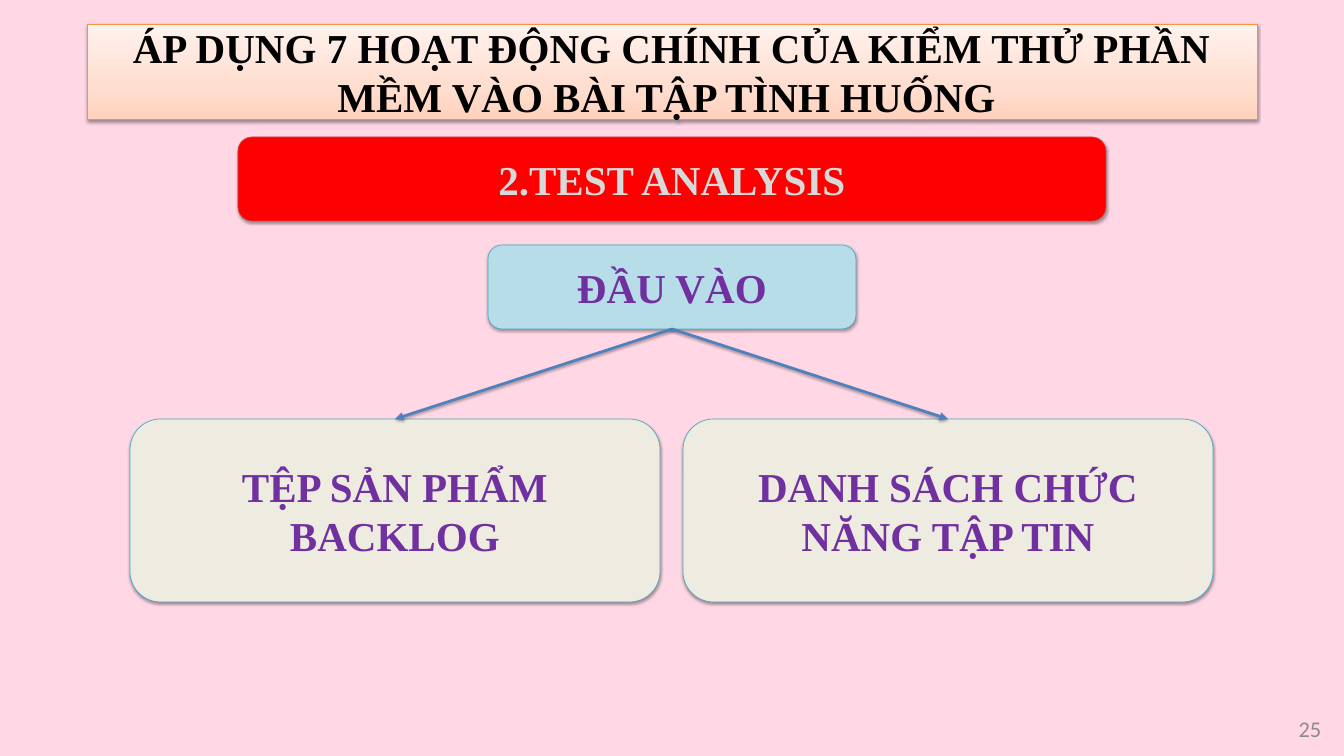
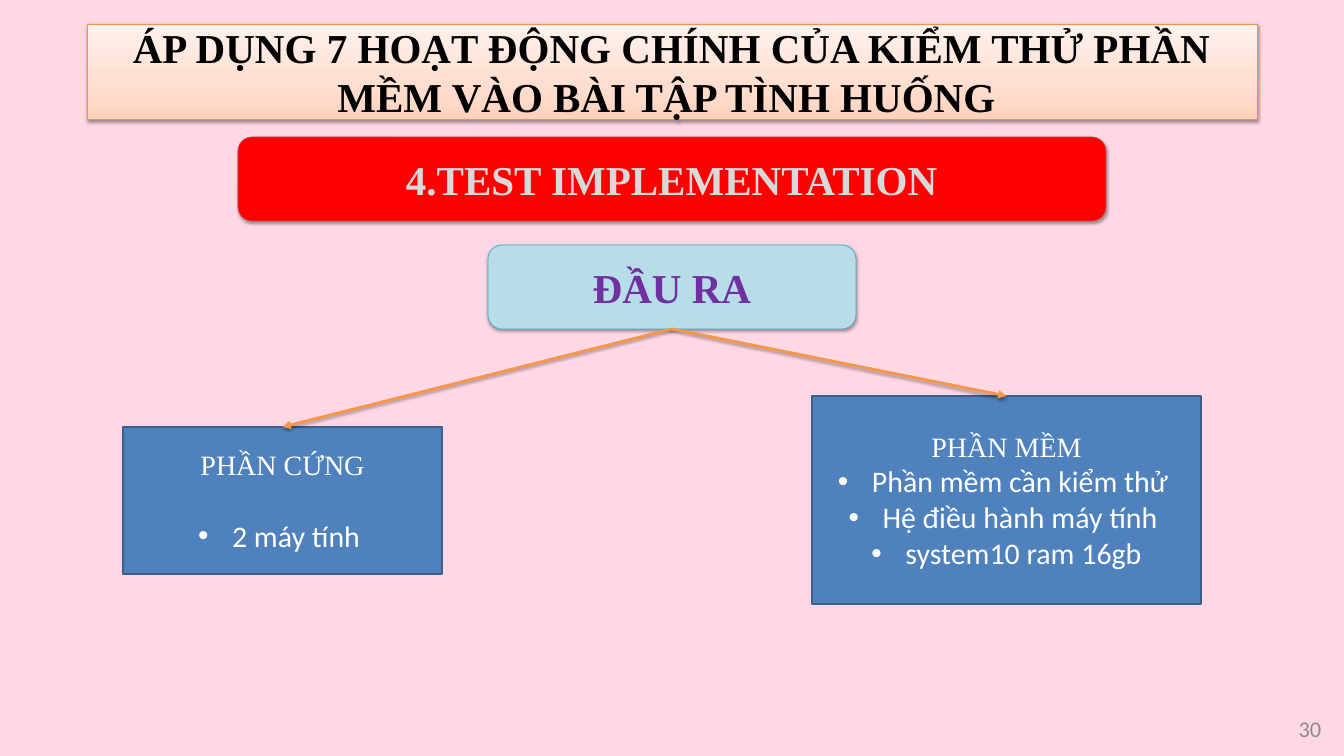
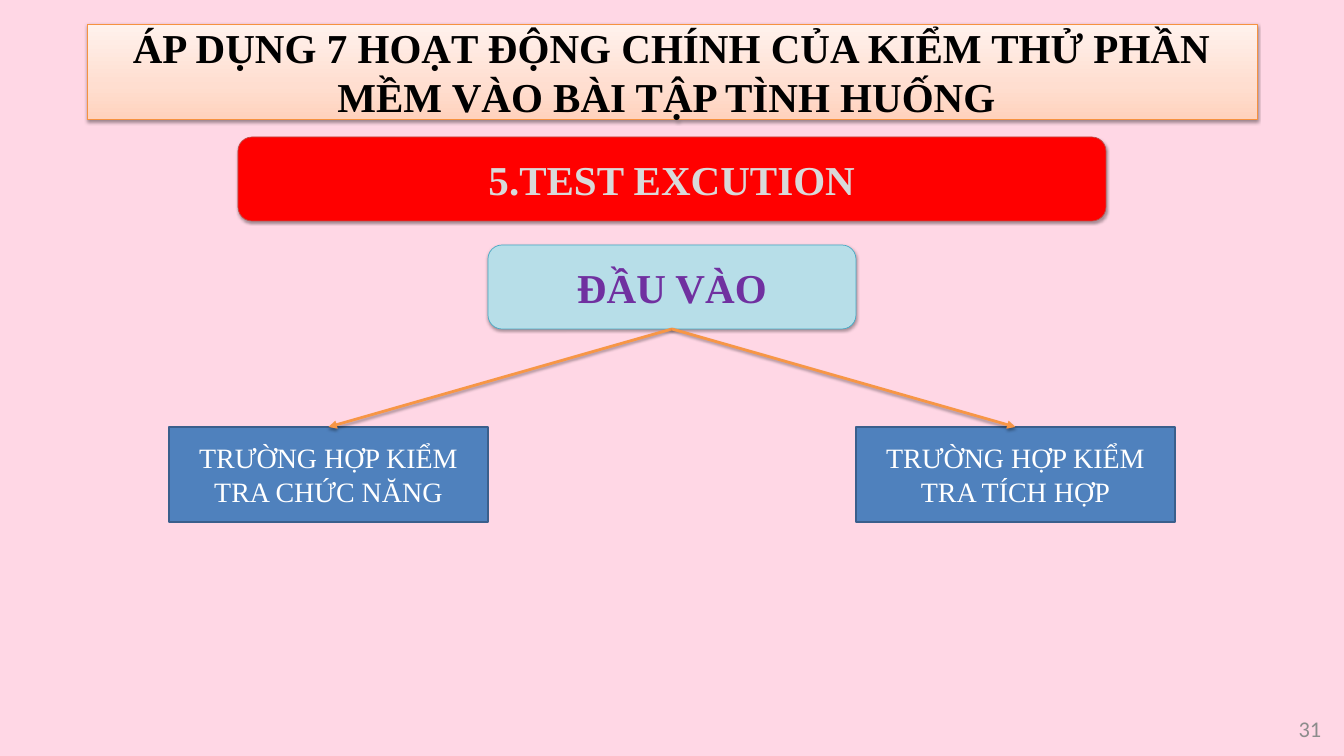
"""Build three slides on software testing activities, each a hub with two branches."""
import pptx
import pptx.dml.color
import pptx.enum.shapes
import pptx.enum.text
import pptx.oxml
import pptx.oxml.ns
import pptx.util

PX = 914400 / 67.2
WIDTH, HEIGHT = 1344, 756
HEADING = "ÁP DỤNG 7 HOẠT ĐỘNG CHÍNH CỦA KIỂM THỬ PHẦN MỀM VÀO BÀI TẬP TÌNH HUỐNG "
SLIDES = [
    dict(number="25", activity="2.TEST ANALYSIS", hub="ĐẦU VÀO", style="card", arrow="blue", branches=[
        ((130, 419, 530, 183), "TỆP SẢN PHẨM BACKLOG", []),
        ((683, 419, 530, 183), "DANH SÁCH CHỨC NĂNG TẬP TIN", [])]),
    dict(number="30", activity="4.TEST IMPLEMENTATION", hub="ĐẦU RA", style="block", arrow="orange", branches=[
        ((123, 427, 319, 147), "PHẦN CỨNG", [("2 máy tính ", 39)]),
        ((812, 396, 389, 208), "PHẦN MỀM", [
            ("Phần mềm cần kiểm thử ", 0), ("Hệ điều hành máy tính ", 0), ("system10 ram 16gb", 0)])]),
    dict(number="31", activity="5.TEST EXCUTION", hub="ĐẦU VÀO", style="block", arrow="orange", branches=[
        ((169, 427, 319, 95), "TRƯỜNG HỢP KIỂM TRA CHỨC NĂNG", []),
        ((856, 427, 319, 95), "TRƯỜNG HỢP KIỂM TRA TÍCH HỢP", [])]),
]
COLORS = dict(
    pink="FFD7E5", black="000000", white="FFFFFF", grey="8C8C8C", silver="D9D9D9", purple="7030A0",
    red="FF0000", brick="BF4C48", aqua="B7DEE8", teal="46AAC5", cream="EEECE1",
    blue="4F81BD", navy="3A5F8C", orange="F79646", amber="F69240")
GRADIENT = [(0, "FFD2BD"), (35, "FFDED0"), (100, "FFF2ED")]
SERIF = dict(name="Times New Roman", size=pptx.util.Pt(44), bold=True)
SMALL_SERIF = dict(name="Times New Roman", size=pptx.util.Pt(30), bold=False)
BULLET = dict(name="Calibri", size=pptx.util.Pt(32), bold=False)
NUMBER = dict(name="Calibri", size=pptx.util.Pt(24), bold=False)
SHAPE = pptx.enum.shapes.MSO_SHAPE
ALIGN = pptx.enum.text.PP_ALIGN
STYLES = dict(
    banner=dict(kind=SHAPE.ROUNDED_RECTANGLE, fill="red", line="brick", weight=0.75, shadow=True,
                font=SERIF, color="silver"),
    hub=dict(kind=SHAPE.ROUNDED_RECTANGLE, fill="aqua", line="teal", weight=0.75, shadow=True,
             font=SERIF, color="purple"),
    card=dict(kind=SHAPE.ROUNDED_RECTANGLE, fill="cream", line="teal", weight=0.75, shadow=True,
              font=SERIF, color="purple"),
    block=dict(kind=SHAPE.RECTANGLE, fill="blue", line="navy", weight=2, shadow=False,
               font=SMALL_SERIF, color="white"))


def emu(px):
    """Turn pixels into EMU."""
    return pptx.util.Emu(round(px * PX))


def rgb(name):
    """Look up a colour by name."""
    return pptx.dml.color.RGBColor.from_string(COLORS[name])


def centred(y, w, h):
    """Return a box centred across the slide."""
    return (WIDTH - w) // 2, y, w, h


def add_xml(parent, tag, attrs="", inner=""):
    """Append one DrawingML element."""
    ns = pptx.oxml.ns.nsdecls("a")
    parent.append(pptx.oxml.parse_xml(f"<a:{tag} {ns} {attrs}>{inner}</a:{tag}>"))


def set_shadow(sp, alpha=35, dist=23000):
    """Give a shape a soft shadow below, or none when alpha is 0."""
    inner = (f'<a:outerShdw blurRad="40000" dist="{dist}" dir="5400000" rotWithShape="0">'
             f'<a:srgbClr val="{COLORS["black"]}"><a:alpha val="{alpha * 1000}"/></a:srgbClr></a:outerShdw>')
    add_xml(sp.element.spPr, "effectLst", inner=inner if alpha else "")


def set_line(sp, color, weight):
    """Set the colour and width of an outline."""
    sp.line.color.rgb = rgb(color)
    sp.line.width = pptx.util.Pt(weight)


def write(p, text, font, color, align=ALIGN.CENTER):
    """Write one formatted run into a paragraph."""
    p.alignment = align
    r = p.add_run()
    r.text = text
    for key, value in font.items():
        setattr(r.font, key, value)
    r.font.color.rgb = rgb(color)


def prepare(sp):
    """Wrap and centre vertically the text of a shape."""
    tf = sp.text_frame
    for key, value in dict(word_wrap=True, auto_size=pptx.enum.text.MSO_AUTO_SIZE.NONE,
                           vertical_anchor=pptx.enum.text.MSO_ANCHOR.MIDDLE).items():
        setattr(tf, key, value)
    return tf


def add_box(s, box, text, style, bullets=()):
    """Add a styled box with a heading and optional bullets."""
    look = STYLES[style]
    sp = s.shapes.add_shape(look["kind"], *map(emu, box))
    sp.fill.solid()
    sp.fill.fore_color.rgb = rgb(look["fill"])
    set_line(sp, look["line"], look["weight"])
    set_shadow(sp, 35 if look["shadow"] else 0)
    tf = prepare(sp)
    write(tf.paragraphs[0], text, look["font"], look["color"])
    for item, gap in bullets:
        p = tf.add_paragraph()
        pPr = p._p.get_or_add_pPr()
        pPr.set("marL", str(emu(34)))
        pPr.set("indent", str(emu(-34)))
        add_xml(pPr, "buFont", 'typeface="Arial"')
        add_xml(pPr, "buChar", 'char="•"')
        p.space_before = pptx.util.Pt(gap)
        write(p, item, BULLET, look["color"])
    return sp


def add_arrow(s, start, end, color):
    """Join the bottom of one box to the top of another."""
    c = s.shapes.add_connector(pptx.enum.shapes.MSO_CONNECTOR.STRAIGHT, 0, 0, 0, 0)
    c.begin_connect(start, 2)
    c.end_connect(end, 0)
    set_line(c, color, 3)
    add_xml(c.element.spPr.find(pptx.oxml.ns.qn("a:ln")), "tailEnd", 'type="triangle"')
    set_shadow(c)


def set_title(s):
    """Turn the title placeholder into the rounded heading band."""
    sp = s.shapes.title
    for key, value in zip(("left", "top", "width", "height"), centred(24, 1170, 95)):
        setattr(sp, key, emu(value))
    stops = "".join(f'<a:gs pos="{pos * 1000}"><a:srgbClr val="{color}"/></a:gs>' for pos, color in GRADIENT)
    add_xml(sp.element.spPr, "prstGeom", 'prst="roundRect"', "<a:avLst/>")
    add_xml(sp.element.spPr, "gradFill", 'rotWithShape="1"',
            f'<a:gsLst>{stops}</a:gsLst><a:lin ang="16200000" scaled="0"/>')
    set_line(sp, "amber", 0.75)
    set_shadow(sp, 38, 20000)
    write(prepare(sp).paragraphs[0], HEADING, SERIF, "black")


def build_slide(prs, data):
    """Build one slide from its content."""
    s = prs.slides.add_slide(prs.slide_layouts[5])
    set_title(s)
    sp = s.shapes.add_textbox(*map(emu, (1171, 715, 157, 27)))
    write(prepare(sp).paragraphs[0], data["number"], NUMBER, "grey", ALIGN.RIGHT)
    add_box(s, centred(137, 868, 84), data["activity"], "banner")
    hub = add_box(s, centred(245, 368, 84), data["hub"], "hub")
    for box, text, bullets in data["branches"]:
        add_arrow(s, hub, add_box(s, box, text, data["style"], bullets), data["arrow"])


def main():
    """Build and save the presentation."""
    prs = pptx.Presentation()
    prs.slide_width, prs.slide_height = emu(WIDTH), emu(HEIGHT)
    fill = prs.slide_master.background.fill
    fill.solid()
    fill.fore_color.rgb = rgb("pink")
    for data in SLIDES:
        build_slide(prs, data)
    prs.save("out.pptx")


if __name__ == "__main__":
    main()
